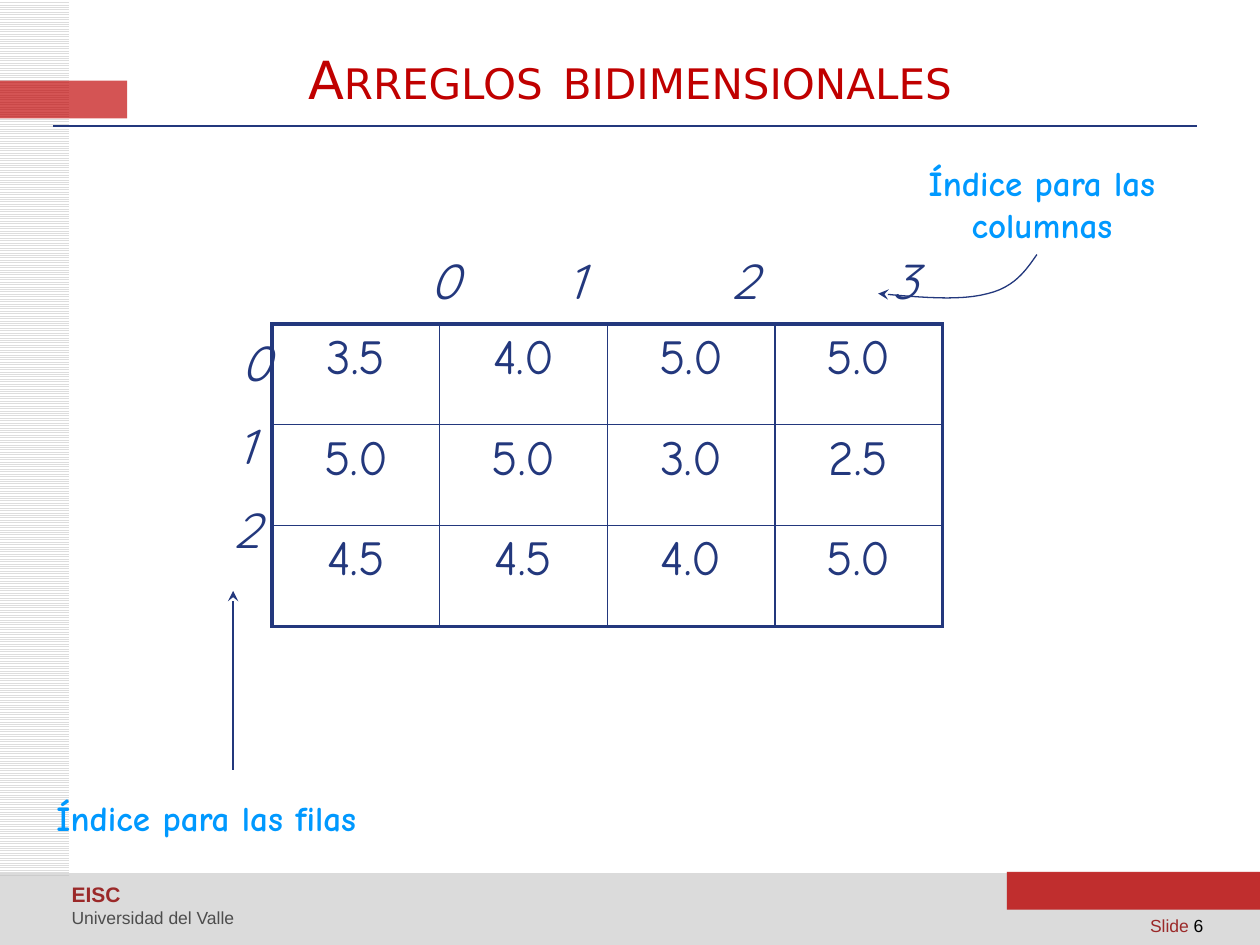
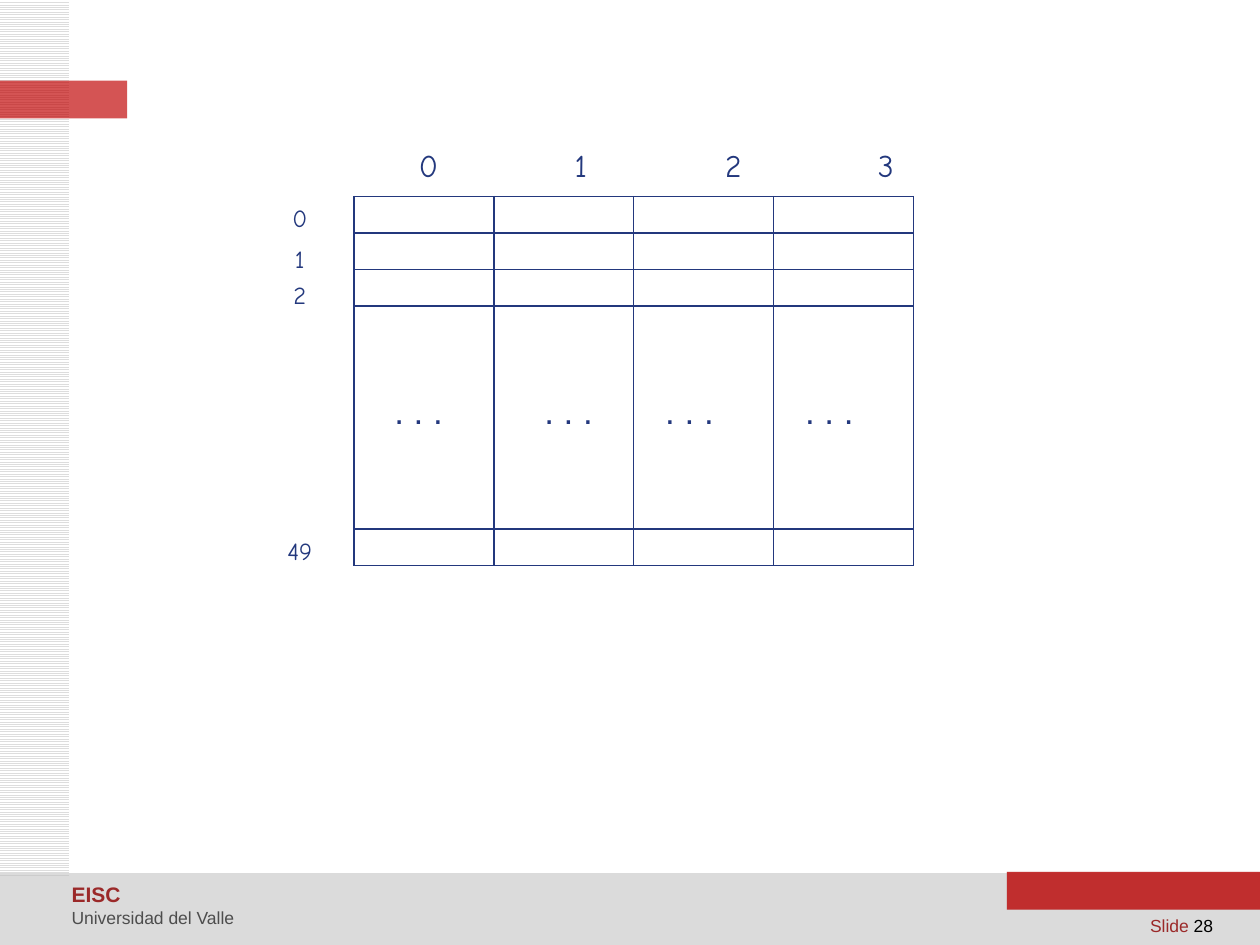
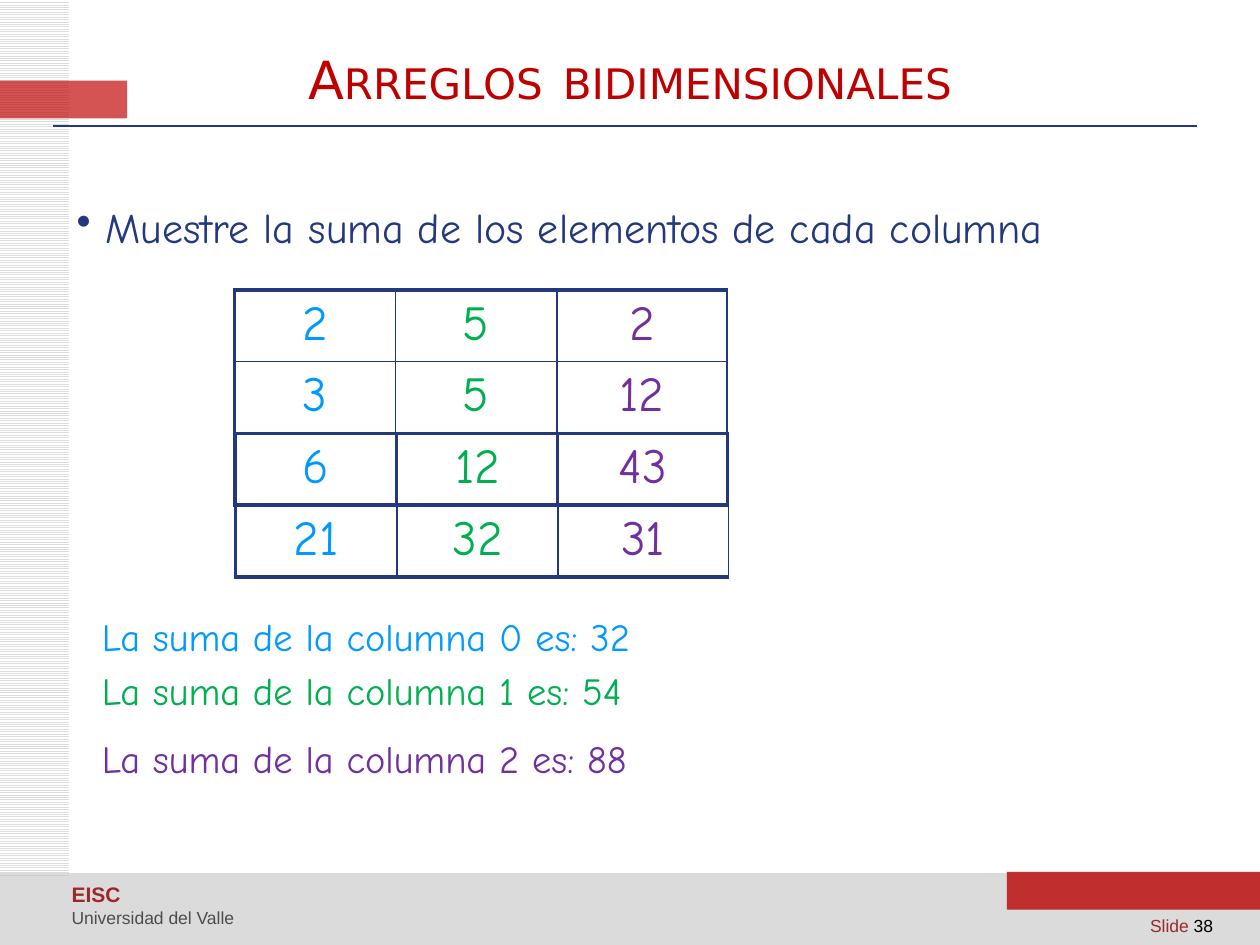
import pptx
import pptx.dml.color
import pptx.enum.dml
import pptx.enum.shapes
import pptx.enum.text
import pptx.oxml.ns
import pptx.util
from lxml import etree

Inches = pptx.util.Inches
Pt = pptx.util.Pt
qn = pptx.oxml.ns.qn
ALIGN = pptx.enum.text.PP_ALIGN
ANCHOR = pptx.enum.text.MSO_ANCHOR

# Shared style
NAVY, RED, MAROON = "23387D", "C00000", "9B2929"
BLUE, GREEN, PURPLE = "0099FF", "00B050", "7030A0"
HAND, SANS, TITLE_FONT, INDEX_FONT = "Comic Neue", "Arial", "DejaVu Sans", "Quicksand"
COLUMN_COLORS = [BLUE, GREEN, PURPLE]
THICK, THIN = 2.25, 1
THICK_FRAME = {"L": THICK, "R": THICK, "T": THICK, "B": THICK}
THIN_FRAME = {"L": THIN, "R": THIN, "T": THIN, "B": THIN}
OPEN_FRAME = {"L": THICK, "R": THIN, "T": THICK, "B": THICK}

# Bands: left, top, width, height, colour, opacity in percent
BANDS = [
    (0, 6.93, 10, 0.57, "C0C0C0", 56),
    (7.99, 6.92, 2.01, 0.3, "B2B2B2", 56),
    (7.99, 6.92, 2.01, 0.3, RED, 76),
    (0, 0.64, 1.01, 0.3, RED, 67),
]

# Slide content
TITLE = ["Arreglos", " ", "bidimensionales"]
GRADES = [
    ["3.5", "4.0", "5.0", "5.0"],
    ["5.0", "5.0", "3.0", "2.5"],
    ["4.5", "4.5", "4.0", "5.0"],
]
GRADE_INDEXES = [
    ("0", 3.53, 2.22), ("1", 4.57, 2.22), ("2", 5.9, 2.22), ("3", 7.18, 2.22),
    ("0", 2.03, 2.87), ("1", 1.95, 3.53), ("2", 1.95, 4.2),
]
COLUMN_ARROW = [
    [(8.23, 2.02), (8.14, 2.15), (8.05, 2.28), (7.84, 2.33)],
    [(7.84, 2.33), (7.62, 2.39), (7.3, 2.36), (6.97, 2.33)],
]
DOTS = ". . ."
DOT_INDENTS = [0.32, 0.4, 0.25, 0.25]
LONG_ARRAY = [[""] * 4] * 3 + [[DOTS] * 4] + [[""] * 4]
LONG_ROW_INDEXES = [("0", 1.73), ("1", 2.05), ("2", 2.34), ("49", 4.37)]
TASK = "Muestre la suma de los elementos de cada columna"
UPPER_ROWS = [["2", "5", "2"], ["3", "5", "12"], ["", "", ""]]
LOWER_ROWS = [["6", "12", "43"], ["21", "32", "31"]]
SUM_WIDTHS = [1.28, 1.28, 1.35]
SUMS = [
    ("La suma de la columna 0 es: 32", 0),
    ("La suma de la columna 1 es: 54", 4.4),
    ("La suma de la columna 2 es: 88", 12),
]


def rgb(color):
    return pptx.dml.color.RGBColor.from_string(color)


def set_values(target, values):
    for name, value in values.items():
        setattr(target, name, value)


def box(left, top, width, height):
    return [Inches(value) for value in (left, top, width, height)]


# Text
def add_run(paragraph, text, size, font, color, small_caps=False, **formats):
    run = paragraph.add_run()
    run.text = text
    set_values(run.font, {"size": Pt(size), "name": font, **formats})
    run.font.color.rgb = rgb(color)
    if small_caps:
        run.font._element.set("cap", "small")


def add_text_box(slide, place, lines, align=ALIGN.LEFT, anchor=ANCHOR.TOP):
    """Each line is (list of run arguments, dict of paragraph formats)."""
    frame = slide.shapes.add_textbox(*box(*place)).text_frame
    set_values(frame, {"word_wrap": True, "vertical_anchor": anchor})
    for number, (runs, formats) in enumerate(lines):
        paragraph = frame.add_paragraph() if number else frame.paragraphs[0]
        set_values(paragraph, {"alignment": align, **formats})
        for text, size, font, color, extra in runs:
            add_run(paragraph, text, size, font, color, **extra)
    return frame


def add_line_of_text(slide, place, text, size, font, color, align=ALIGN.LEFT,
                     anchor=ANCHOR.TOP, **extra):
    lines = [([(text, size, font, color, extra)], {})]
    return add_text_box(slide, place, lines, align, anchor)


def add_index(slide, text, center_x, center_y, size, font, **extra):
    place = (center_x - 0.3, center_y - 0.25, 0.6, 0.5)
    add_line_of_text(slide, place, text, size, font, NAVY,
                     ALIGN.CENTER, ANCHOR.MIDDLE, **extra)


# Lines
def style_line(shape, width, arrow=False):
    shape.line.color.rgb = rgb(NAVY)
    shape.line.width = Pt(width)
    if arrow:
        etree.SubElement(shape.line._get_or_add_ln(), qn("a:tailEnd"), type="stealth")


def add_line(slide, start, end, width, arrow=False):
    line = slide.shapes.add_connector(
        pptx.enum.shapes.MSO_CONNECTOR.STRAIGHT,
        *[Inches(value) for value in (*start, *end)])
    style_line(line, width, arrow)
    etree.SubElement(line._element.spPr, qn("a:effectLst"))


def bezier_point(controls, t):
    weights = [(1 - t) ** 3, 3 * t * (1 - t) ** 2, 3 * t ** 2 * (1 - t), t ** 3]
    return tuple(Inches(sum(weight * point[axis] for weight, point in zip(weights, controls)))
                 for axis in (0, 1))


def add_curved_arrow(slide, curves, steps=12):
    points = [bezier_point(curve, step / steps)
              for curve in curves for step in range(1, steps + 1)]
    builder = slide.shapes.build_freeform(*bezier_point(curves[0], 0))
    builder.add_line_segments(points, close=False)
    shape = builder.convert_to_shape()
    shape.shadow.inherit = False
    shape.fill.background()
    style_line(shape, 0.75, arrow=True)


# Tables
def set_borders(cell, widths):
    properties = cell._tc.get_or_add_tcPr()
    for side in "LRTB":
        line = etree.SubElement(properties, qn(f"a:ln{side}"), w=str(Pt(widths[side])))
        fill = etree.SubElement(line, qn("a:solidFill"))
        etree.SubElement(fill, qn("a:srgbClr"), val=NAVY)


def add_grid(slide, left, top, widths, heights, values, frame, colors,
             size=28, font=HAND, align=ALIGN.CENTER):
    rows, columns = len(heights), len(widths)
    table = slide.shapes.add_table(
        rows, columns, *box(left, top, sum(widths), sum(heights))).table
    set_values(table, {"first_row": False, "horz_banding": False})
    for column, width in zip(table.columns, widths):
        column.width = Inches(width)
    for r, height in enumerate(heights):
        table.rows[r].height = Inches(height)
        for c in range(columns):
            cell = table.cell(r, c)
            on_edge = {"L": c == 0, "R": c == columns - 1, "T": r == 0, "B": r == rows - 1}
            set_borders(cell, {side: frame[side] if on_edge[side] else THIN for side in "LRTB"})
            cell.fill.background()
            paragraph = cell.text_frame.paragraphs[0]
            paragraph.alignment = align
            if values[r][c]:
                add_run(paragraph, values[r][c], size, font, colors[c])
            else:
                etree.SubElement(paragraph._p, qn("a:endParaRPr"), sz="1000")
    return table


# Parts that every slide shares
def add_band(slide, left, top, width, height):
    band = slide.shapes.add_shape(
        pptx.enum.shapes.MSO_SHAPE.RECTANGLE, *box(left, top, width, height))
    band.shadow.inherit = False
    band.line.fill.background()
    return band


def add_base_slide(presentation, number):
    slide = presentation.slides.add_slide(presentation.slide_layouts[6])
    stripes = add_band(slide, 0, 0, 0.55, 6.95).fill
    stripes.patterned()
    stripes.pattern = pptx.enum.dml.MSO_PATTERN.LIGHT_HORIZONTAL
    stripes.fore_color.rgb = rgb("DDDDDD")
    stripes.back_color.rgb = rgb("FFFFFF")
    for *place, color, opacity in BANDS:
        band = add_band(slide, *place)
        band.fill.solid()
        band.fill.fore_color.rgb = rgb(color)
        color_element = band._element.spPr.find(qn("a:solidFill"))[0]
        etree.SubElement(color_element, qn("a:alpha"), val=str(opacity * 1000))
    add_text_box(slide, (9.03, 7.21, 0.83, 0.27), [
        ([("Slide ", 10, SANS, MAROON, {}), (str(number), 10, SANS, "000000", {})], {})])
    spacing = {"line_spacing": Pt(10), "space_before": Pt(2)}
    add_text_box(slide, (0.47, 7.01, 2.57, 0.41), [
        ([("EISC", 12, SANS, MAROON, {"bold": True})], spacing),
        ([("Universidad del Valle", 10, SANS, "4D4D4D", {})], spacing)])
    return slide


def add_title(slide):
    add_line(slide, (0.42, 1), (9.5, 1), 1)
    first, gap, second = TITLE
    caps = {"small_caps": True}
    add_text_box(slide, (0.5, 0.3, 9, 0.62), [
        ([(first, 30, TITLE_FONT, RED, caps),
          (gap, 32, HAND, "6A99D8", {"bold": True}),
          (second, 30, TITLE_FONT, RED, caps)], {})], ALIGN.CENTER, ANCHOR.MIDDLE)


# Slides
def build_index_slide(presentation):
    slide = add_base_slide(presentation, 6)
    add_title(slide)
    for text, x, y in GRADE_INDEXES:
        add_index(slide, text, x, y, 28, INDEX_FONT, italic=True)
    add_grid(slide, 2.16, 2.57, [1.33] * 4, [0.8] * 3, GRADES, THICK_FRAME, [NAVY] * 4)
    add_line(slide, (1.85, 6.11), (1.85, 4.69), 0.75, arrow=True)
    add_line_of_text(slide, (0.35, 6.27, 3.23, 0.43), "Índice para las filas",
                     20, HAND, BLUE, bold=True)
    add_line_of_text(slide, (6.97, 1.23, 2.6, 0.77), "Índice para las columnas",
                     20, HAND, BLUE, ALIGN.CENTER, bold=True)
    add_curved_arrow(slide, COLUMN_ARROW)


def build_long_array_slide(presentation):
    slide = add_base_slide(presentation, 28)
    table = add_grid(slide, 2.81, 1.56, [1.11] * 4, [0.29, 0.29, 0.29, 1.77, 0.29],
                     LONG_ARRAY, THIN_FRAME, [NAVY] * 4, 20, SANS, ALIGN.LEFT)
    for column, indent in enumerate(DOT_INDENTS):
        set_values(table.cell(3, column),
                   {"margin_left": Inches(indent), "margin_top": Inches(0.69)})
    for column in range(4):
        add_index(slide, str(column), 3.4 + 1.21 * column, 1.31, 18, HAND)
    for text, y in LONG_ROW_INDEXES:
        add_index(slide, text, 2.38, y, 14, HAND)


def build_sum_slide(presentation):
    slide = add_base_slide(presentation, 38)
    add_title(slide)
    frame = add_line_of_text(slide, (0.51, 1.55, 8.35, 0.51), TASK, 24, HAND, NAVY)
    properties = frame.paragraphs[0]._p.get_or_add_pPr()
    properties.set("marL", str(Inches(0.23)))
    properties.set("indent", str(-Inches(0.23)))
    etree.SubElement(properties, qn("a:buChar"), char="•")
    for left, top, rows in [(1.86, 2.3, UPPER_ROWS), (1.87, 3.44, LOWER_ROWS)]:
        add_grid(slide, left, top, SUM_WIDTHS, [0.57] * len(rows), rows,
                 OPEN_FRAME, COLUMN_COLORS)
    add_text_box(slide, (0.71, 4.82, 7.34, 2.03), [
        ([(text, 22, HAND, color, {})], {"space_before": Pt(space)})
        for (text, space), color in zip(SUMS, COLUMN_COLORS)])


def main():
    presentation = pptx.Presentation()
    set_values(presentation, {"slide_width": Inches(10), "slide_height": Inches(7.5)})
    build_index_slide(presentation)
    build_long_array_slide(presentation)
    build_sum_slide(presentation)
    presentation.save("out.pptx")


if __name__ == "__main__":
    main()
